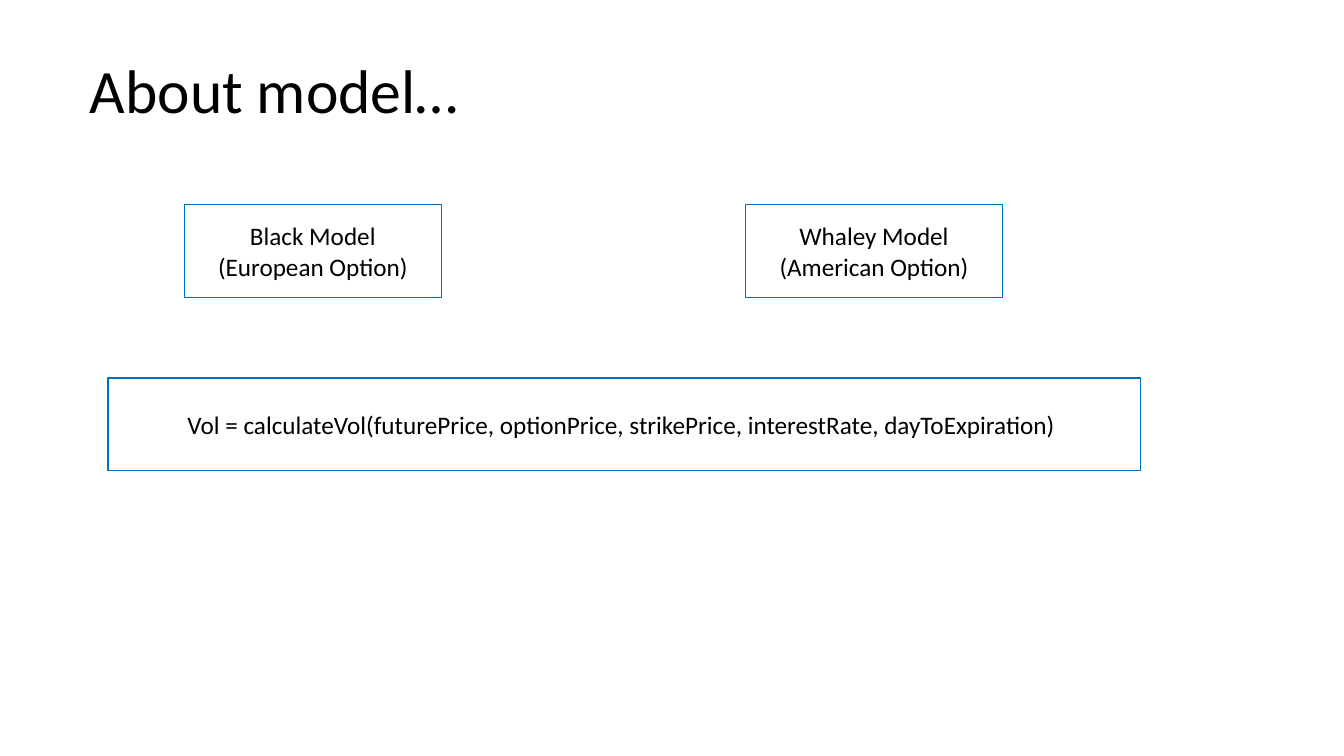
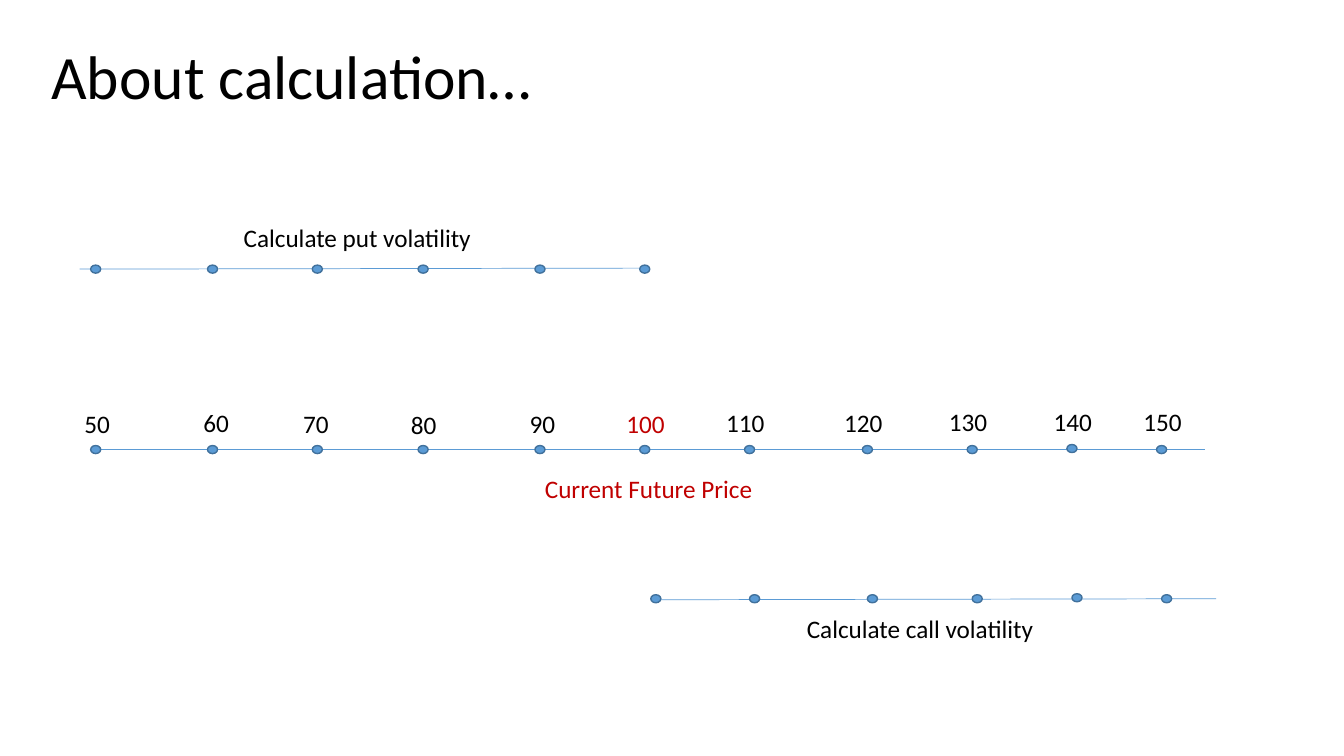
import dataclasses
import typing

import pptx
import pptx.dml.color
import pptx.enum.shapes
import pptx.enum.text
import pptx.oxml
import pptx.oxml.ns
import pptx.util

# Shared style; every length below is in columns and rows of this grid
GRID_CELL = 0.1  # inches
SLIDE_COLUMNS, SLIDE_ROWS = 133.4, 75
FONT = "Calibri"
TITLE_SIZE, BODY_SIZE = 44, 18
TITLE_COLUMNS, TITLE_ROWS = 115, 14.5
BOX_ROWS, LABEL_ROWS = 9.2, 4
DOT_COLUMNS, DOT_ROWS = 1, 0.8
COLORS = {
    "text": "000000",
    "highlight": "C00000",
    "box_fill": "FFFFFF",
    "box_line": "0070C0",
    "axis": "5B9BD5",
    "dot_line": "41719C",
}


@dataclasses.dataclass(frozen=True)
class Box:
    text: str
    column: float
    row: float
    columns: float


@dataclasses.dataclass(frozen=True)
class Label:
    text: str
    column: float
    row: float
    columns: float = 6.7
    color: str = "text"


@dataclasses.dataclass(frozen=True)
class Line:
    start: tuple[float, float]
    end: tuple[float, float]


@dataclasses.dataclass(frozen=True)
class Dot:
    column: float
    row: float


@dataclasses.dataclass(frozen=True)
class Scale:
    line: Line
    dots: list[Dot]
    labels: list[Label]


# Slide 1: models and the shared call
MODEL_BOXES = [
    Box("Black Model\n(European Option)", 18.3, 20.3, 25.5),
    Box("Whaley Model\n(American Option)", 74, 20.3, 25.5),
    Box("Vol = calculateVol(futurePrice, optionPrice, strikePrice, "
        "interestRate, dayToExpiration) ", 10.7, 37.5, 102.5),
]

# Slide 2: strike prices with the column of each dot and the place of its label
CURRENT_PRICE = 100
DOT_COLUMN_OF = {
    50: 9, 60: 20.6, 70: 31, 80: 41.5, 90: 53.1, 100: 63.5,
    110: 73.9, 120: 85.6, 130: 96, 140: 105.9, 150: 114.8,
}
LABEL_PLACE_OF = {
    50: (7.4, 40), 60: (19.2, 39.9), 70: (29.1, 40), 80: (39.8, 40.1),
    90: (51.6, 40), 100: (61.2, 40), 110: (71.1, 39.9), 120: (82.8, 39.9),
    130: (93.2, 39.8), 140: (103.6, 39.8), 150: (112.5, 39.8),
}
CALL_SHIFT = 0.5  # the call dots sit slightly right of the price dots
FIRST_CALL_SHIFT = 1.1


def dot_row(price: int, row: float) -> float:
    return row - 0.1 if price == 140 else row


def call_column(price: int) -> float:
    shift = FIRST_CALL_SHIFT if price == CURRENT_PRICE else CALL_SHIFT
    return DOT_COLUMN_OF[price] + shift


PRICE_SCALE = Scale(
    Line((9, 44.6), (119.6, 44.6)),
    [Dot(column, dot_row(price, 44.2)) for price, column in DOT_COLUMN_OF.items()],
    [Label(str(price), *place,
           color="highlight" if price == CURRENT_PRICE else "text")
     for price, place in LABEL_PLACE_OF.items()],
)
PUT_SCALE = Scale(
    Line((7.9, 26.7), (63.5, 26.6)),
    [Dot(column, 26.3) for price, column in DOT_COLUMN_OF.items()
     if price <= CURRENT_PRICE],
    [Label("Calculate put volatility", 23.2, 21.6, 25.1)],
)
CALL_SCALE = Scale(
    Line((65.1, 59.5), (120.7, 59.4)),
    [Dot(call_column(price), dot_row(price, 59)) for price in DOT_COLUMN_OF
     if price >= CURRENT_PRICE],
    [Label("Calculate call volatility", 79.1, 60.4, 25.1)],
)
PRICE_CAPTION = Label("Current Future Price", 53.1, 46.5, 23.9, "highlight")


# Helpers
def grid(*cells: float) -> list[pptx.util.Length]:
    return [pptx.util.Inches(round(cell * GRID_CELL, 2)) for cell in cells]


def rgb(name: str) -> pptx.dml.color.RGBColor:
    return pptx.dml.color.RGBColor.from_string(COLORS[name])


def write_text(text_frame: typing.Any, text: str, size: float, color: str = "text",
               alignment: typing.Any = pptx.enum.text.PP_ALIGN.LEFT) -> None:
    text_frame.text = text
    text_frame.word_wrap = True
    for paragraph in text_frame.paragraphs:
        paragraph.alignment = alignment
        for run in paragraph.runs:
            run.font.name = FONT
            run.font.size = pptx.util.Pt(size)
            run.font.color.rgb = rgb(color)


def style_shape(shape: typing.Any, fill: str, line: str) -> None:
    shape.shadow.inherit = False
    shape.fill.solid()
    shape.fill.fore_color.rgb = rgb(fill)
    shape.line.color.rgb = rgb(line)
    shape.line.width = pptx.util.Pt(1)


def add_titled_slide(presentation: typing.Any, text: str,
                     column: float, row: float) -> typing.Any:
    slide = presentation.slides.add_slide(presentation.slide_layouts[5])
    title = slide.shapes.title
    title.left, title.top, title.width, title.height = grid(
        column, row, TITLE_COLUMNS, TITLE_ROWS)
    write_text(title.text_frame, text, TITLE_SIZE)
    title.text_frame.vertical_anchor = pptx.enum.text.MSO_ANCHOR.MIDDLE
    title.text_frame.paragraphs[0].line_spacing = 0.9
    return slide


def add_box(shapes: typing.Any, box: Box) -> None:
    shape = shapes.add_shape(pptx.enum.shapes.MSO_SHAPE.RECTANGLE,
                             *grid(box.column, box.row, box.columns, BOX_ROWS))
    style_shape(shape, "box_fill", "box_line")
    write_text(shape.text_frame, box.text, BODY_SIZE,
               alignment=pptx.enum.text.PP_ALIGN.CENTER)
    shape.text_frame.vertical_anchor = pptx.enum.text.MSO_ANCHOR.MIDDLE


def add_label(shapes: typing.Any, label: Label) -> None:
    shape = shapes.add_textbox(
        *grid(label.column, label.row, label.columns, LABEL_ROWS))
    write_text(shape.text_frame, label.text, BODY_SIZE, label.color)


def add_line(shapes: typing.Any, line: Line) -> None:
    connector = shapes.add_connector(pptx.enum.shapes.MSO_CONNECTOR.STRAIGHT,
                                     *grid(*line.start, *line.end))
    connector.line.color.rgb = rgb("axis")
    connector.line.width = pptx.util.Pt(0.5)
    connector._element.spPr.append(
        pptx.oxml.parse_xml(f"<a:effectLst {pptx.oxml.ns.nsdecls('a')}/>"))


def add_dot(shapes: typing.Any, dot: Dot) -> None:
    shape = shapes.add_shape(pptx.enum.shapes.MSO_SHAPE.OVAL,
                             *grid(dot.column, dot.row, DOT_COLUMNS, DOT_ROWS))
    style_shape(shape, "axis", "dot_line")


def add_scale(shapes: typing.Any, scale: Scale) -> None:
    add_line(shapes, scale.line)
    for dot in scale.dots:
        add_dot(shapes, dot)
    for label in scale.labels:
        add_label(shapes, label)


# Slides
def build_model_slide(presentation: typing.Any) -> None:
    slide = add_titled_slide(presentation, "About model…", 7.9, 2)
    for box in MODEL_BOXES:
        add_box(slide.shapes, box)


def build_calculation_slide(presentation: typing.Any) -> None:
    slide = add_titled_slide(presentation, "About calculation…", 4.1, 0.6)
    add_scale(slide.shapes.add_group_shape().shapes, PRICE_SCALE)
    add_label(slide.shapes, PRICE_CAPTION)
    for scale in (PUT_SCALE, CALL_SCALE):
        add_scale(slide.shapes, scale)


def main() -> None:
    presentation = pptx.Presentation()
    presentation.slide_width, presentation.slide_height = grid(
        SLIDE_COLUMNS, SLIDE_ROWS)
    build_model_slide(presentation)
    build_calculation_slide(presentation)
    presentation.save("out.pptx")


if __name__ == "__main__":
    main()
